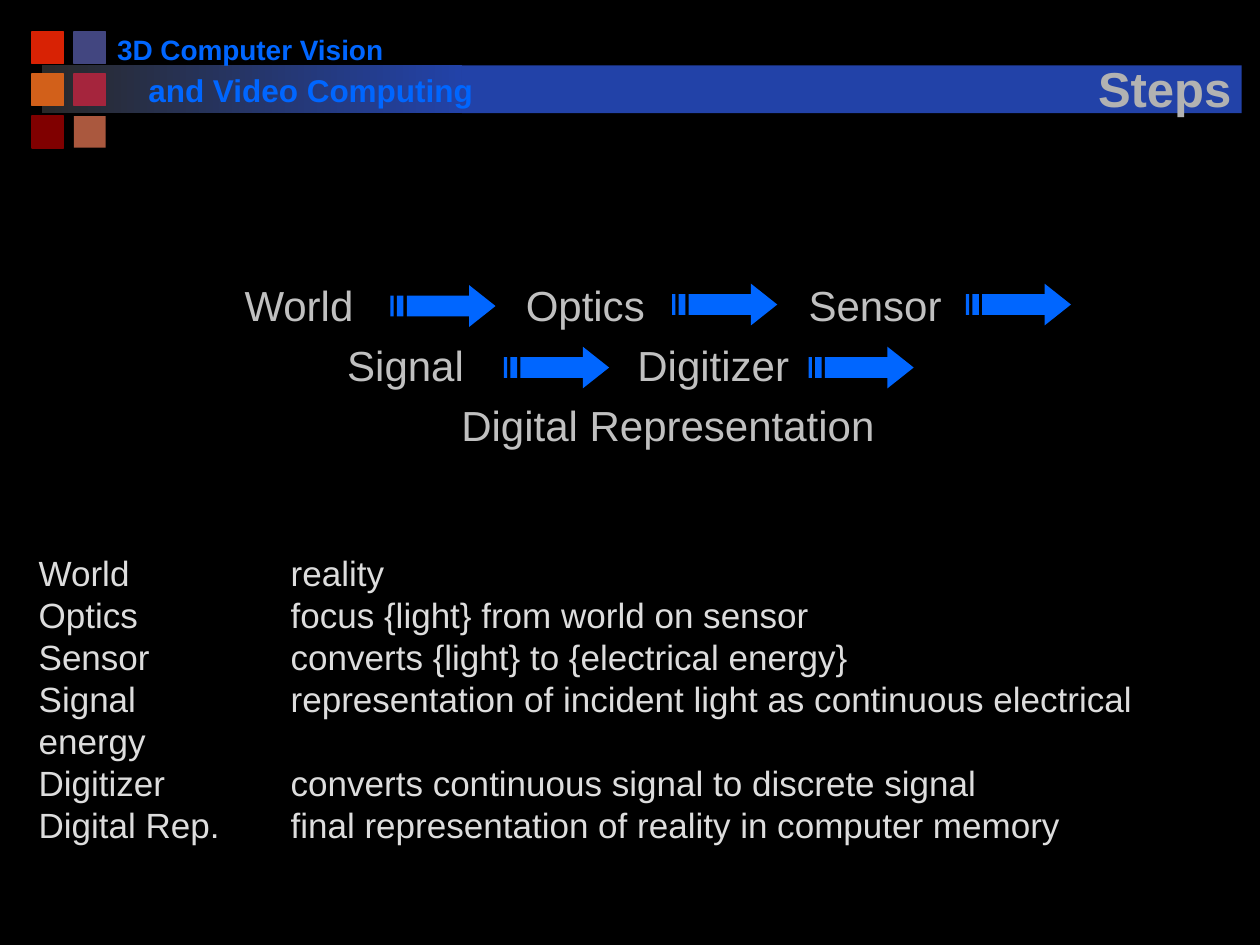
from lxml.etree import SubElement, fromstring
from pptx import Presentation
from pptx.dml.color import RGBColor
from pptx.enum.shapes import MSO_SHAPE as Preset
from pptx.enum.text import MSO_ANCHOR as Anchor, PP_ALIGN as Align
from pptx.oxml.ns import nsdecls, qn
from pptx.util import Cm, Pt

BLACK = RGBColor(0x00, 0x00, 0x00)
BLUE = RGBColor(0x00, 0x66, 0xFF)
BAR_DARK = RGBColor(0x29, 0x29, 0x29)
BAR_BLUE = RGBColor(0x22, 0x42, 0xA8)
TITLE_GRAY = RGBColor(0xB2, 0xB2, 0xB2)
FLOW_GRAY = RGBColor(0xC0, 0xC0, 0xC0)
TERM_GRAY = RGBColor(0xDD, 0xDD, 0xDD)
RED = RGBColor(0xD8, 0x22, 0x04)
INDIGO = RGBColor(0x42, 0x46, 0x80)
ORANGE = RGBColor(0xD2, 0x60, 0x1A)
CRIMSON = RGBColor(0xA5, 0x25, 0x3D)
MAROON = RGBColor(0x80, 0x00, 0x00)
COPPER = RGBColor(0xAA, 0x58, 0x3E)

prs = Presentation()
prs.slide_width, prs.slide_height = Cm(25.4), Cm(19.05)
slide = prs.slides.add_slide(prs.slide_layouts[6])
slide.background.fill.solid()
slide.background.fill.fore_color.rgb = BLACK


def add_rect(left, top, width, height, color):
    rect = slide.shapes.add_shape(
        Preset.RECTANGLE, Cm(left), Cm(top), Cm(width), Cm(height))
    rect.shadow.inherit = False
    rect.fill.solid()
    rect.fill.fore_color.rgb = color
    rect.line.fill.background()
    return rect


def add_text(box, lines, size, color, bold=False, tabs=(), before=0):
    """Write each line as a paragraph; tabs holds one list of stops per line."""
    frame = slide.shapes.add_textbox(*[Cm(length) for length in box]).text_frame
    frame.word_wrap = True
    for number, line in enumerate(lines):
        par = frame.paragraphs[0] if number == 0 else frame.add_paragraph()
        par.space_before = Pt(before)
        run = par.add_run()
        run.text = line
        run.font.name = "Arial"
        run.font.size = Pt(size)
        run.font.bold = bold
        run.font.color.rgb = color
        if tabs:
            stops = SubElement(par._p.get_or_add_pPr(), qn("a:tabLst"))
            for stop in tabs[number]:
                SubElement(stops, qn("a:tab"), pos=str(Cm(stop)), algn="l")
    return frame


# Header bar: a gradient part, then a plain part
fade = add_rect(0.85, 1.32, 8.46, 0.96, BAR_BLUE)
fade.fill.gradient()
fade.fill.gradient_angle = 0
for stop, color, position in zip(fade.fill.gradient_stops, (BAR_DARK, BAR_BLUE), (0, 1)):
    stop.color.rgb = color
    stop.position = position
add_rect(9.31, 1.32, 15.72, 0.96, BAR_BLUE)

# Corner squares, two columns by three rows
squares = [RED, INDIGO, ORANGE, CRIMSON, MAROON, COPPER]
for number, color in enumerate(squares):
    row, column = divmod(number, 2)
    square = add_rect(0.64 + 0.85 * column, 0.64 + 0.85 * row, 0.64, 0.64, color)
    if color != COPPER:
        square.line.color.rgb = color
        square.line.width = Pt(1)

# Course name
add_text((2.11, 0.53, 6.5, 0.94), ["3D Computer Vision"], 16, BLUE, bold=True)
add_text((2.74, 1.3, 7.4, 1.02), ["and Video Computing"], 18, BLUE, bold=True)

# Title with a text shadow
title = add_text((21.56, 0.79, 3.84, 1.7), ["Steps"], 28, TITLE_GRAY, bold=True)
title.vertical_anchor = Anchor.BOTTOM
title.paragraphs[0].alignment = Align.CENTER
title_props = title.paragraphs[0].runs[0].font._element
title_props.find(qn("a:solidFill")).addnext(fromstring(
    f'<a:effectLst {nsdecls("a")}><a:outerShdw dist="35921" dir="2700000">'
    '<a:srgbClr val="000000"/></a:outerShdw></a:effectLst>'))

# Flow of steps, each word on its own tab stop
flow = ["\tWorld\tOptics\tSensor", "\tSignal\tDigitizer", "\tDigital Representation"]
flow_stops = [[0.23, 5.9, 11.6], [2.3, 8.15], [4.6]]
add_text((4.45, 5.51, 17.58, 4.01), flow, 24, FLOW_GRAY, tabs=flow_stops, before=5.6)

# Striped arrows between the steps, on a grid of 32 by 4 units
UNIT_X, UNIT_Y = Cm(2.12) / 32, Cm(0.84) / 4
outlines = [
    [(24, 0), (24, 1), (5, 1), (5, 3), (24, 3), (24, 4), (32, 2)],
    [(2, 1), (2, 3), (4, 3), (4, 1)],
    [(0, 1), (0, 3), (1, 3), (1, 1)],
]
arrow_corners = [(7.87, 5.75), (13.55, 5.72), (19.47, 5.72), (10.16, 6.99), (16.3, 6.99)]
for left, top in arrow_corners:
    builder = slide.shapes.build_freeform(*outlines[0][0], scale=(UNIT_X, UNIT_Y))
    for outline in outlines:
        builder.move_to(*outline[0])
        builder.add_line_segments(outline[1:], close=True)
    arrow = builder.convert_to_shape(Cm(left), Cm(top))
    arrow.shadow.inherit = False
    arrow.fill.solid()
    arrow.fill.fore_color.rgb = BLUE
    arrow.line.fill.background()

# Meaning of each step
meanings = {
    "World": "reality",
    "Optics": "focus {light} from world on sensor",
    "Sensor": "converts {light} to {electrical energy}",
    "Signal": "representation of incident light as continuous electrical energy",
    "Digitizer": "converts continuous signal to discrete signal",
    "Digital Rep.": "final representation of reality in computer memory",
}
meaning_lines = [f"{term}\t{meaning}" for term, meaning in meanings.items()]
add_text((0.53, 11, 24.4, 5.33), meaning_lines, 20, TERM_GRAY,
         tabs=[[5.08]] * len(meaning_lines))

prs.save("out.pptx")
